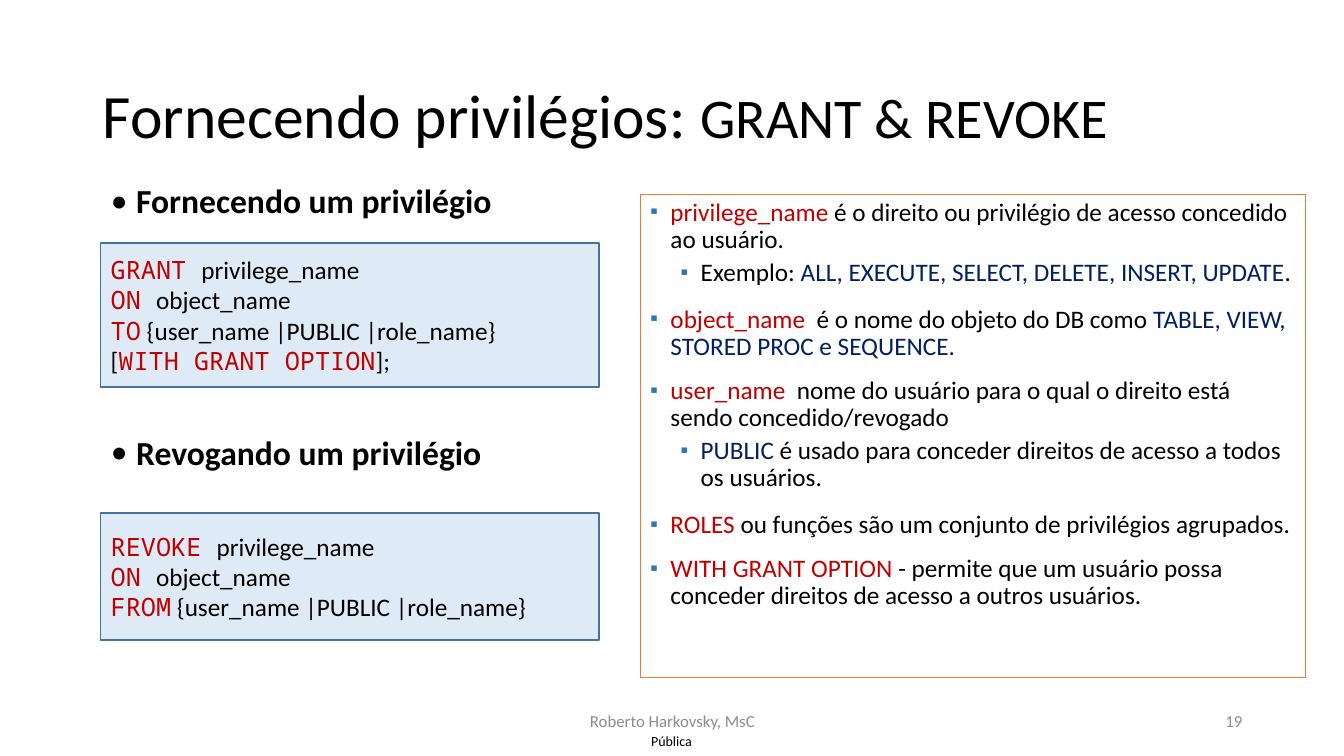
from dataclasses import dataclass
from typing import NamedTuple, Optional

import pptx
import pptx.dml.color
import pptx.enum.shapes
import pptx.enum.text
import pptx.oxml
import pptx.oxml.ns
import pptx.shapes.base
import pptx.slide
import pptx.text.text
import pptx.util

Inches = pptx.util.Inches
Anchor = pptx.enum.text.MSO_ANCHOR
Align = pptx.enum.text.PP_ALIGN


@dataclass(frozen=True)
class Theme:
    """Fonts, colours and type sizes of the slide."""
    font: str = "Calibri"
    code_font: str = "Noto Sans Mono"
    text: str = "000000"
    keyword: str = "C00000"
    example: str = "002060"
    bullet: str = "2E75B6"
    muted: str = "8C8C8C"
    white: str = "FFFFFF"
    code_fill: str = "DEEBF7"
    code_border: str = "43739E"
    glossary_border: str = "ED7D31"
    title_size: int = 44
    title_detail_size: int = 40
    heading_size: int = 24
    text_size: int = 18
    footer_size: int = 12
    label_size: int = 10


THEME = Theme()


class Box(NamedTuple):
    """Position and size in inches."""
    left: float
    top: float
    width: float
    height: float


class Span(NamedTuple):
    """A piece of text in one format."""
    text: str
    color: str = THEME.text
    size: int = THEME.text_size
    font: str = THEME.font
    bold: bool = False


class Bullet(NamedTuple):
    """Bullet and spacing of a list paragraph."""
    character: str
    margin: float
    hanging: float
    before: float
    after: float = 0
    level: int = 0
    color: Optional[str] = None
    percent: int = 100


class Line(NamedTuple):
    """A paragraph made of spans."""
    spans: list[Span]
    bullet: Optional[Bullet] = None
    align: Align = Align.LEFT


class CodeBox(NamedTuple):
    """A syntax panel."""
    box: Box
    lines: list[Line]


class Footer(NamedTuple):
    """A small line of text at the bottom."""
    box: Box
    text: str
    size: int
    color: str
    align: Align


def keyword(text: str) -> Span:
    """Return an SQL keyword in the code font."""
    return Span(text, THEME.keyword, font=THEME.code_font)


def term(text: str) -> Span:
    """Return a highlighted term."""
    return Span(text, THEME.keyword)


def example(text: str) -> Span:
    """Return an example value."""
    return Span(text, THEME.example)


def heading(text: str, before: float) -> Line:
    """Return a bold heading with the given space before it."""
    return Line([Span(text, size=THEME.heading_size, bold=True)], Bullet("•", 0.25, 0.25, before))


def place(shape: pptx.shapes.base.BaseShape, box: Box) -> None:
    """Move and size a shape."""
    shape.left, shape.top, shape.width, shape.height = map(Inches, box)


def paint(shape: pptx.shapes.base.BaseShape, fill: str, border: str) -> None:
    """Give a shape its fill and outline."""
    shape.fill.solid()
    shape.fill.fore_color.rgb = pptx.dml.color.RGBColor.from_string(fill)
    shape.line.color.rgb = pptx.dml.color.RGBColor.from_string(border)
    shape.line.width = pptx.util.Pt(1)


def apply_bullet(paragraph: pptx.text.text._Paragraph, bullet: Bullet) -> None:
    """Set list spacing, indents and the bullet character."""
    paragraph.level = bullet.level
    paragraph.line_spacing = 0.9
    paragraph.space_before = pptx.util.Pt(bullet.before)
    paragraph.space_after = pptx.util.Pt(bullet.after)
    properties = paragraph._p.get_or_add_pPr()
    properties.set("marL", str(Inches(bullet.margin)))
    properties.set("indent", str(-Inches(bullet.hanging)))
    color = f'<a:srgbClr val="{bullet.color or THEME.text}"/>'
    for tag, attributes, content in (
        ("buClr", "", color),
        ("buSzPct", f'val="{bullet.percent * 1000}"', ""),
        ("buFont", f'typeface="{THEME.font}"', ""),
        ("buChar", f'char="{bullet.character}"', ""),
    ):
        namespace = pptx.oxml.ns.nsdecls("a")
        xml = f"<a:{tag} {namespace} {attributes}>{content}</a:{tag}>"
        properties.append(pptx.oxml.parse_xml(xml))


def write(shape: pptx.shapes.base.BaseShape, lines: list[Line], anchor: Anchor) -> None:
    """Fill a shape with formatted paragraphs."""
    frame = shape.text_frame
    frame.word_wrap = True
    frame.auto_size = pptx.enum.text.MSO_AUTO_SIZE.NONE
    frame.vertical_anchor = anchor
    frame.text = "\n".join("" for _ in lines)
    for paragraph, line in zip(frame.paragraphs, lines):
        paragraph.alignment = line.align
        if line.bullet:
            apply_bullet(paragraph, line.bullet)
        for span in line.spans:
            run = paragraph.add_run()
            run.text = span.text
            run.font.name = span.font
            run.font.size = pptx.util.Pt(span.size)
            run.font.bold = span.bold
            run.font.color.rgb = pptx.dml.color.RGBColor.from_string(span.color)


def add_code_box(slide: pptx.slide.Slide, code: CodeBox) -> None:
    """Draw a syntax panel."""
    shape = slide.shapes.add_shape(pptx.enum.shapes.MSO_SHAPE.RECTANGLE, *map(Inches, code.box))
    shape.shadow.inherit = False
    paint(shape, THEME.code_fill, THEME.code_border)
    write(shape, code.lines, Anchor.MIDDLE)


def add_footer(slide: pptx.slide.Slide, footer: Footer) -> None:
    """Draw a line of footer text."""
    shape = slide.shapes.add_textbox(*map(Inches, footer.box))
    span = Span(footer.text, footer.color, footer.size)
    write(shape, [Line([span], align=footer.align)], Anchor.MIDDLE)


TITLE = Line([Span("Fornecendo privilégios: ", size=THEME.title_size),
              Span("GRANT & REVOKE", size=THEME.title_detail_size)])
HEADINGS = [heading("Fornecendo um privilégio", 10), heading("Revogando um privilégio", 154)]
ON_OBJECT = Line([keyword("ON "), Span("object_name")])
GRANTEES = Span(" {user_name |PUBLIC |role_name}")
CODE_BOXES = [
    CodeBox(Box(1, 2.41, 4.94, 1.43), [
        Line([keyword("GRANT "), Span("privilege_name")]),
        ON_OBJECT,
        Line([keyword("TO"), GRANTEES]),
        Line([Span("["), keyword("WITH GRANT OPTION"), Span("];")])]),
    CodeBox(Box(1, 5.09, 4.94, 1.26), [
        Line([keyword("REVOKE "), Span("privilege_name")]),
        ON_OBJECT,
        Line([keyword("FROM"), GRANTEES])]),
]
ITEM = Bullet("▪", 0.2, 0.2, 12, color=THEME.bullet, percent=85)
SUBITEM = ITEM._replace(margin=0.5, before=4, after=2, level=1)
GLOSSARY = [
    Line([term("privilege_name"),
          Span(" é o direito ou privilégio de acesso concedido ao usuário.")], ITEM),
    Line([Span("Exemplo: "), example("ALL, EXECUTE, SELECT, DELETE, INSERT, UPDATE"),
          Span(".")], SUBITEM),
    Line([term("object_name"), Span("  é o nome do objeto do DB como "),
          example("TABLE, VIEW, STORED PROC e SEQUENCE.")], ITEM),
    Line([term("user_name "),
          Span(" nome do usuário para o qual o direito está sendo concedido/revogado")], ITEM),
    Line([example("PUBLIC "),
          Span("é usado para conceder direitos de acesso a todos os usuários.")], SUBITEM),
    Line([term("ROLES"), Span(" ou funções são um conjunto de privilégios agrupados.")], ITEM),
    Line([term("WITH GRANT OPTION "),
          Span("- permite que um usuário possa conceder direitos de acesso a outros usuários.")],
         ITEM),
]
FOOTERS = [
    Footer(Box(4.42, 6.95, 4.5, 0.4), "Roberto Harkovsky, MsC", THEME.footer_size, THEME.muted,
           Align.CENTER),
    Footer(Box(9.42, 6.95, 3, 0.4), "19", THEME.footer_size, THEME.muted, Align.RIGHT),
    Footer(Box(6.16, 7.21, 1, 0.29), "Pública", THEME.label_size, THEME.text, Align.CENTER),
]


def main() -> None:
    """Build and save the slide."""
    presentation = pptx.Presentation()
    presentation.slide_width, presentation.slide_height = Inches(13.33), Inches(7.5)
    slide = presentation.slides.add_slide(presentation.slide_layouts.get_by_name("Two Content"))
    title, headings, glossary = slide.placeholders
    place(title, Box(0.92, 0.4, 11.5, 1.45))
    write(title, [TITLE], Anchor.MIDDLE)
    place(headings, Box(1, 1.78, 5.19, 4.77))
    write(headings, HEADINGS, Anchor.TOP)
    place(glossary, Box(6.35, 1.93, 6.6, 4.79))
    paint(glossary, THEME.white, THEME.glossary_border)
    write(glossary, GLOSSARY, Anchor.TOP)
    for code in CODE_BOXES:
        add_code_box(slide, code)
    for footer in FOOTERS:
        add_footer(slide, footer)
    presentation.save("out.pptx")


main()
